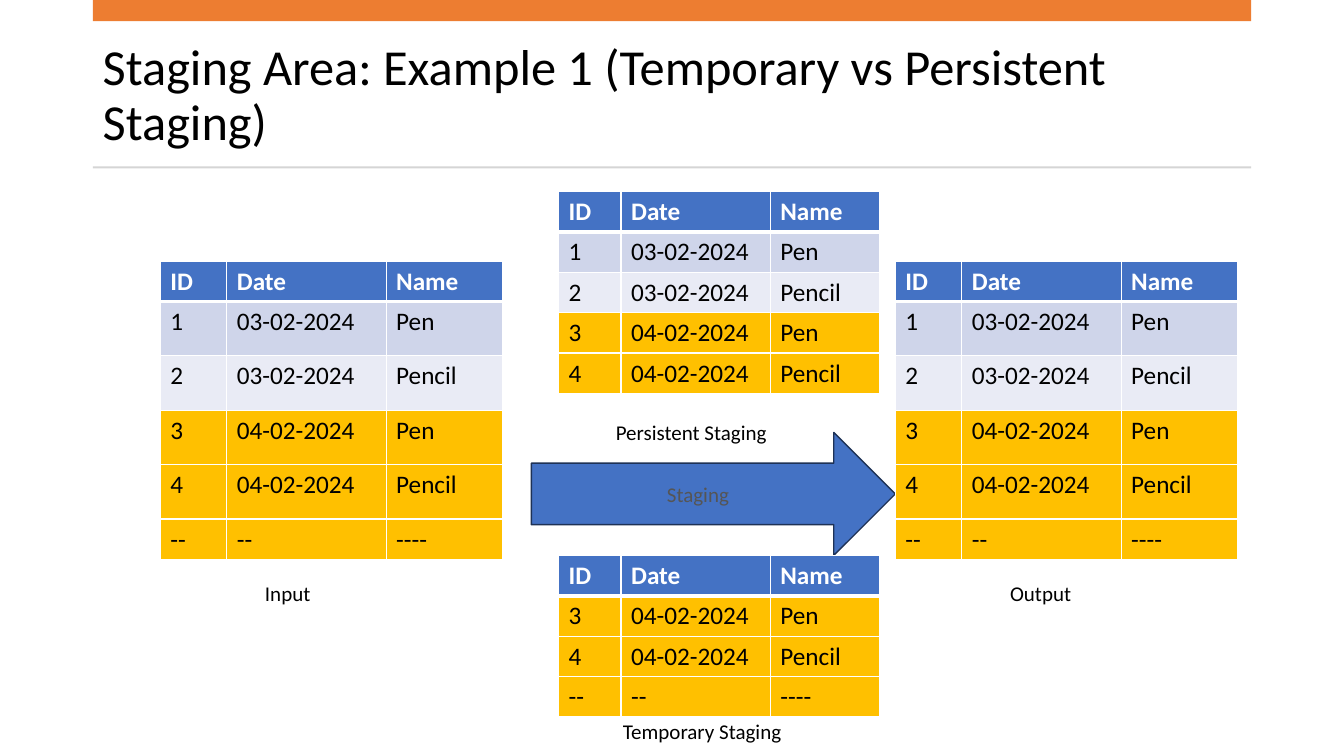
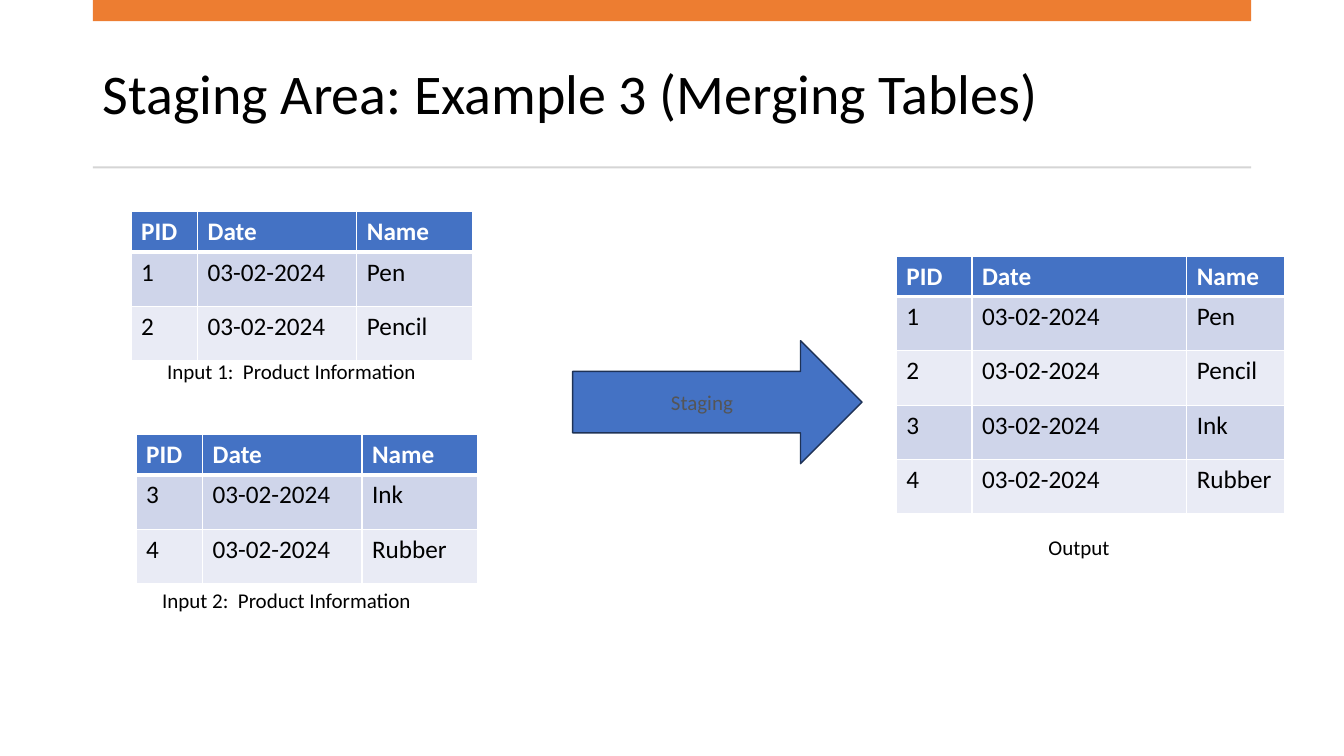
"""Build two slides that explain staging areas with tables and arrows."""
from dataclasses import dataclass

from lxml.etree import SubElement
from pptx import Presentation
from pptx.dml.color import RGBColor as Rgb
from pptx.enum.shapes import MSO_SHAPE as Shape
from pptx.enum.text import MSO_ANCHOR as Anchor, PP_ALIGN as Align
from pptx.oxml.ns import qn
from pptx.util import Inches, Pt


@dataclass(frozen=True)
class Theme:
    font: str = "Calibri"
    accent: str = "ED7D31"
    rule: str = "D5D5D5"
    blue: str = "4472C4"
    outline: str = "1E3256"
    bands: tuple = ("CFD5EA", "E9EBF5")
    amber: str = "FFC000"
    white: str = "FFFFFF"
    black: str = "000000"
    grey: str = "555555"
    cell_size: float = 18
    label_size: float = 15
    thin: float = 1
    thick: float = 3


THEME = Theme()
ROW_SHORT, ROW_TALL = 0.4, 0.54
WIDE, NARROW, OUTPUT = (0.66, 1.58, 1.15), (0.62, 1.48, 1.08), (0.75, 2.13, 0.97)
ITEM_HEAD = ("ID", "Date", "Name")
PRODUCT_HEAD = ("PID", "Date", "Name")
OLD = [("1", "03-02-2024", "Pen"), ("2", "03-02-2024", "Pencil")]
NEW = [("3", "04-02-2024", "Pen"), ("4", "04-02-2024", "Pencil")]
MORE = [("--", "--", "----")]
ADDED = [("3", "03-02-2024", "Ink"), ("4", "03-02-2024", "Rubber")]

SLIDES = [
    {
        "title": ("Staging Area: Example 1 (Temporary vs Persistent Staging)", 36),
        "arrow": (5.27, 4.29, 3.61, 1.22),
        "tables": [
            (1.59, 2.59, WIDE, ROW_TALL, ITEM_HEAD, OLD + NEW + MORE),
            (8.88, 2.59, WIDE, ROW_TALL, ITEM_HEAD, OLD + NEW + MORE),
            (5.54, 1.9, NARROW, ROW_SHORT, ITEM_HEAD, OLD + NEW),
            (5.54, 5.51, NARROW, ROW_SHORT, ITEM_HEAD, NEW + MORE),
        ],
        "captions": [
            ("Temporary Staging", 6.08, 7.08, 2.24),
            ("Persistent Staging", 6.01, 4.11, 2.24),
            ("Output", 9.92, 5.71, 0.84),
            ("Input", 2.53, 5.71, 0.76),
        ],
    },
    {
        "title": ("Staging Area: Example 3 (Merging Tables)", 40),
        "arrow": (5.68, 3.38, 2.87, 1.22),
        "tables": [
            (1.3, 2.1, WIDE, ROW_TALL, PRODUCT_HEAD, OLD),
            (8.89, 2.54, OUTPUT, ROW_TALL, PRODUCT_HEAD, OLD + ADDED),
            (1.35, 4.31, WIDE, ROW_TALL, PRODUCT_HEAD, ADDED),
        ],
        "captions": [
            ("Output", 10.3, 5.25, 0.84),
            ("Input 1:  Product Information", 1.56, 3.51, 2.97),
            ("Input 2:  Product Information", 1.51, 5.78, 2.97),
        ],
    },
]


def write(frame, text, size, color, bold=False, **layout):
    para = frame.paragraphs[0]
    for name, value in layout.items():
        setattr(para, name, value)
    span = para.add_run()
    span.text = text
    for name, value in {"name": THEME.font, "size": Pt(size), "bold": bold}.items():
        setattr(span.font, name, value)
    span.font.color.rgb = Rgb.from_string(color)


def add_text(page, place, text, size, anchor=Anchor.TOP, **layout):
    frame = page.shapes.add_textbox(*map(Inches, place)).text_frame
    frame.word_wrap = True
    frame.vertical_anchor = anchor
    write(frame, text, size, THEME.black, **layout)


def add_block(page, kind, place, fill, line=None):
    block = page.shapes.add_shape(kind, *map(Inches, place))
    block.shadow.inherit = False
    block.fill.solid()
    block.fill.fore_color.rgb = Rgb.from_string(fill)
    if line:
        block.line.color.rgb = Rgb.from_string(line)
        block.line.width = Pt(THEME.thin)
    else:
        block.line.fill.background()
    return block


def add_arrow(page, place):
    arrow = add_block(page, Shape.RIGHT_ARROW, place, THEME.blue, THEME.outline)
    arrow.text_frame.vertical_anchor = Anchor.MIDDLE
    write(arrow.text_frame, "Staging", THEME.label_size, THEME.grey,
          alignment=Align.CENTER, space_after=Pt(6))


def add_borders(cell, top, bottom):
    properties = cell._tc.get_or_add_tcPr()
    widths = {"a:lnL": THEME.thin, "a:lnR": THEME.thin, "a:lnT": top, "a:lnB": bottom}
    for tag, width in widths.items():
        line = SubElement(properties, qn(tag), w=str(Pt(width)))
        fill = SubElement(line, qn("a:solidFill"))
        SubElement(fill, qn("a:srgbClr"), val=THEME.white)


def row_fill(index, row):
    if index == 0:
        return THEME.blue
    if row in NEW + MORE:
        return THEME.amber
    return THEME.bands[(index - 1) % 2]


def add_grid(page, left, top, widths, row_height, head, body):
    rows = [head] + body
    heights = [ROW_SHORT if row in [head] + MORE else row_height for row in rows]
    place = map(Inches, (left, top, sum(widths), sum(heights)))
    table = page.shapes.add_table(len(rows), len(widths), *place).table
    table.horz_banding = False
    for column, width in zip(table.columns, widths):
        column.width = Inches(width)
    for index, (row, height) in enumerate(zip(rows, heights)):
        table.rows[index].height = Inches(height)
        is_head = index == 0
        for position, text in enumerate(row):
            cell = table.cell(index, position)
            add_borders(cell, THEME.thick if index == 1 else THEME.thin,
                        THEME.thick if is_head else THEME.thin)
            cell.fill.solid()
            cell.fill.fore_color.rgb = Rgb.from_string(row_fill(index, row))
            write(cell.text_frame, text, THEME.cell_size,
                  THEME.white if is_head else THEME.black, is_head)


def add_page(deck, content):
    page = deck.slides.add_slide(deck.slide_layouts[6])
    add_text(page, (0.92, 0.37, 11.61, 1.18), *content["title"],
             anchor=Anchor.MIDDLE, line_spacing=0.9)
    for top, height, color in ((0, 0.21, THEME.accent), (1.65, 0.02, THEME.rule)):
        add_block(page, Shape.RECTANGLE, (0.92, top, 11.49, height), color)
    add_arrow(page, content["arrow"])
    for table in content["tables"]:
        add_grid(page, *table)
    for text, left, top, width in content["captions"]:
        add_text(page, (left, top, width, 0.36), text, THEME.label_size,
                 space_after=Pt(6))


def main():
    deck = Presentation()
    deck.slide_width, deck.slide_height = Inches(13.33), Inches(7.5)
    for content in SLIDES:
        add_page(deck, content)
    deck.save("out.pptx")


if __name__ == "__main__":
    main()
